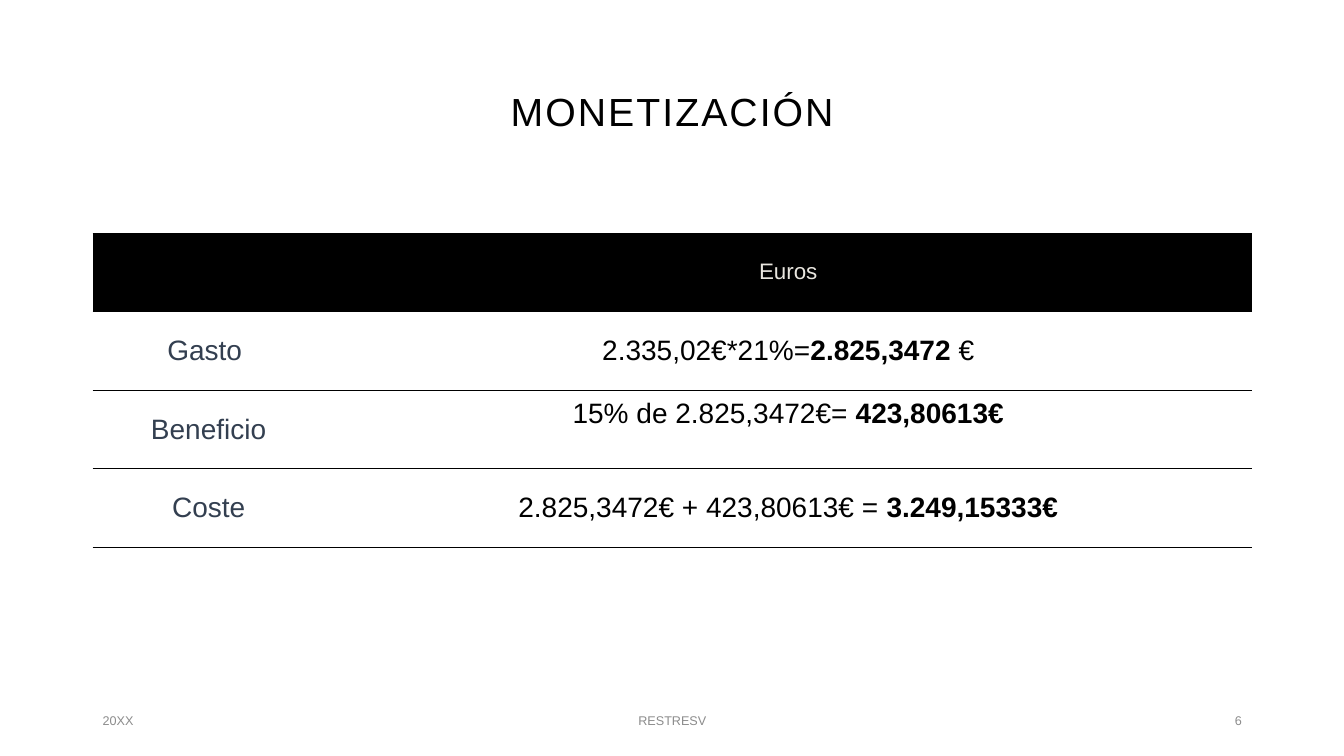
from lxml.etree import SubElement
from pptx import Presentation
from pptx.dml.color import RGBColor
from pptx.enum.text import MSO_ANCHOR, PP_ALIGN
from pptx.oxml.ns import qn
from pptx.util import Pt

LEFT, WIDTH = 66.24, 828
BLACK, SLATE, CREAM, GRAY, WHITE = "000000", "333F50", "E9E6DF", "8C8C8C", "FFFFFF"
LABEL_WIDTH = 165.6
ROW_HEIGHT = 56.16
LINE_HEIGHT = 23
ROWS = [
    ("", [("Euros", False)]),
    ("Gasto ", [("2.335,02€*21%=", False), ("2.825,3472", True), (" €", False)]),
    ("Beneficio", [("15% de 2.825,3472€= ", False), ("423,80613€", True)]),
    ("Coste", [("2.825,3472€ + 423,80613€ = ", False), ("3.249,15333€", True)]),
]
FOOTERS = [
    ("20XX", LEFT, 216, PP_ALIGN.LEFT),
    ("RESTRESV", 318.24, 324, PP_ALIGN.CENTER),
    ("6", 678.24, 216, PP_ALIGN.RIGHT),
]


def color(value):
    return RGBColor.from_string(value)


def set_attributes(target, values):
    for name, value in values.items():
        setattr(target, name, value)


def place(shape, left, top, width, height):
    bounds = {"left": left, "top": top, "width": width, "height": height}
    set_attributes(shape, {name: Pt(value) for name, value in bounds.items()})


def write(paragraph, parts, size, text_color, alignment):
    paragraph.alignment = alignment
    for text, bold in parts:
        run = paragraph.add_run()
        run.text = text
        set_attributes(run.font, {"name": "Arial", "size": Pt(size), "bold": bold})
        run.font.color.rgb = color(text_color)


def set_border(cell, side, line_color=None):
    properties = cell._tc.get_or_add_tcPr()
    line = SubElement(properties, qn(f"a:ln{side}"), w=str(Pt(0.5)))
    if line_color:
        fill = SubElement(line, qn("a:solidFill"))
        SubElement(fill, qn("a:srgbClr"), val=line_color)
    else:
        SubElement(line, qn("a:noFill"))


def format_cell(cell, parts, size, text_color, header):
    cell.vertical_anchor = MSO_ANCHOR.MIDDLE
    for side in "LRTB":
        set_border(cell, side, BLACK if side in "TB" else None)
    cell.fill.solid()
    cell.fill.fore_color.rgb = color(BLACK if header else WHITE)
    write(cell.text_frame.paragraphs[0], parts, size, text_color, PP_ALIGN.CENTER)


def add_title(slide, text):
    title = slide.shapes.title
    place(title, LEFT, 28.8, WIDTH, 104.4)
    set_attributes(title.text_frame, {"vertical_anchor": MSO_ANCHOR.MIDDLE, "word_wrap": True})
    paragraph = title.text_frame.paragraphs[0]
    paragraph.line_spacing = 0.9
    write(paragraph, [(text, False)], 28, BLACK, PP_ALIGN.CENTER)
    paragraph.runs[0]._r.get_or_add_rPr().set("spc", "150")


def add_money_table(slide):
    frame = slide.shapes.add_table(
        len(ROWS), 2, Pt(LEFT), Pt(166.32), Pt(WIDTH), Pt(ROW_HEIGHT * len(ROWS))
    )
    table = frame.table
    table.horz_banding = False
    table.columns[0].width = Pt(LABEL_WIDTH)
    table.columns[1].width = Pt(WIDTH - LABEL_WIDTH)
    for index, (label, parts) in enumerate(ROWS):
        header = index == 0
        size = 16 if header else 20
        table.rows[index].height = Pt(ROW_HEIGHT)
        label_parts = [(label, False)] if label else []
        format_cell(table.cell(index, 0), label_parts, size, SLATE, header)
        format_cell(table.cell(index, 1), parts, size, CREAM if header else BLACK, header)
    table.cell(2, 1).margin_bottom = Pt(3.6 + LINE_HEIGHT)


def add_footer(slide, text, left, width, alignment):
    box = slide.shapes.add_textbox(Pt(left), Pt(500.4), Pt(width), Pt(28.8))
    set_attributes(box.text_frame, {"vertical_anchor": MSO_ANCHOR.MIDDLE, "word_wrap": True})
    write(box.text_frame.paragraphs[0], [(text, False)], 9, GRAY, alignment)


def main():
    presentation = Presentation()
    set_attributes(presentation, {"slide_width": Pt(960), "slide_height": Pt(540)})
    slide = presentation.slides.add_slide(presentation.slide_layouts.get_by_name("Title Only"))
    add_title(slide, "MONETIZACIÓN")
    add_money_table(slide)
    for footer in FOOTERS:
        add_footer(slide, *footer)
    presentation.save("out.pptx")


if __name__ == "__main__":
    main()
